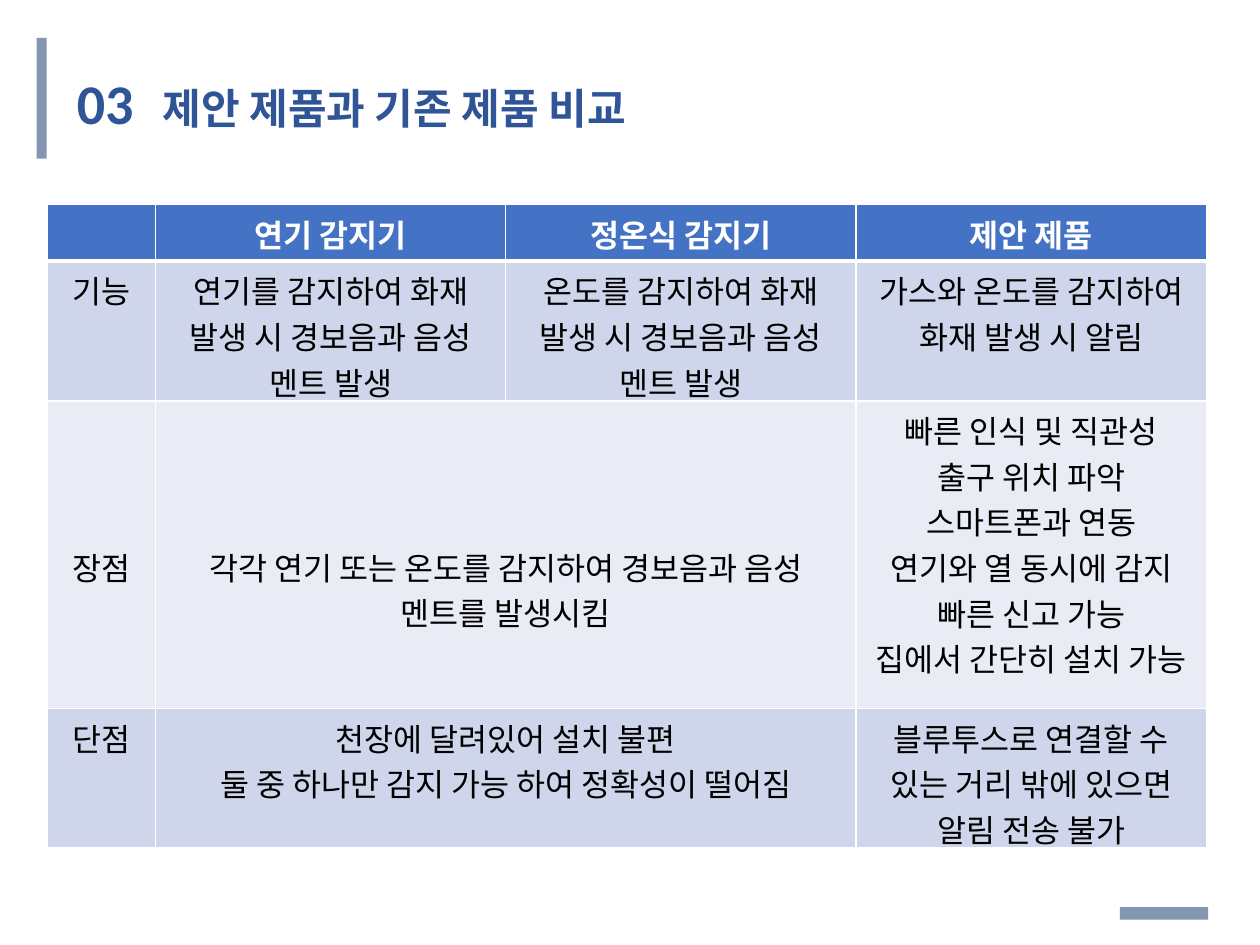
import pptx
import pptx.util
import pptx.dml.color
import pptx.enum.shapes
import pptx.enum.text
import pptx.oxml
import pptx.oxml.ns

Pt = pptx.util.Pt
RGB = pptx.dml.color.RGBColor
ALIGN = pptx.enum.text.PP_ALIGN

NAVY = RGB(0x2F, 0x55, 0x97)
SLATE = RGB(0x84, 0x97, 0xB0)
BLUE = RGB(0x44, 0x72, 0xC4)
LIGHT = RGB(0xCF, 0xD5, 0xEA)
PALE = RGB(0xE9, 0xEB, 0xF5)
WHITE = RGB(0xFF, 0xFF, 0xFF)
BLACK = RGB(0, 0, 0)
FONT = "Calibri"

NUMBER, TITLE = "03", "제안 제품과 기존 제품 비교"
BARS = [(20.9, 21.6, 5.8, 69.1), (640, 518.4, 50.4, 7.2)]
WIDTHS = [61.9, 200.2, 200.2, 200.2]
# height, fill, cell texts (None continues the cell on its left)
ROWS = [
    (32.4, BLUE, ["", "연기 감지기", "정온식 감지기", "제안 제품"]),
    (79.9, LIGHT, [
        "기능",
        "연기를 감지하여 화재 발생 시 경보음과 음성 멘트 발생",
        "온도를 감지하여 화재 발생 시 경보음과 음성 멘트 발생",
        "가스와 온도를 감지하여 화재 발생 시 알림"]),
    (175.7, PALE, [
        "장점",
        "각각 연기 또는 온도를 감지하여 경보음과 음성 멘트를 발생시킴",
        None,
        "빠른 인식 및 직관성\n출구 위치 파악\n스마트폰과 연동\n"
        "연기와 열 동시에 감지\n빠른 신고 가능\n집에서 간단히 설치 가능"]),
    (79.9, LIGHT, [
        "단점",
        "천장에 달려있어 설치 불편\n둘 중 하나만 감지 가능 하여 정확성이 떨어짐",
        None,
        "블루투스로 연결할 수 있는 거리 밖에 있으면 알림 전송 불가"]),
]
LOWERED = {(2, 0), (2, 1)}  # cells whose text starts three lines down
DROP = 81.6


def style(font, size, color, bold):
    font.name, font.size, font.bold = FONT, Pt(size), bold
    font.color.rgb = color


def edge(cell, side, width):
    """Draw one white border; call before the cell is filled."""
    cell._tc.get_or_add_tcPr().append(pptx.oxml.parse_xml(
        f'<a:ln{side} {pptx.oxml.ns.nsdecls("a")} w="{Pt(width)}">'
        f'<a:solidFill><a:srgbClr val="{WHITE}"/></a:solidFill></a:ln{side}>'))


def add_bar(slide, box):
    bar = slide.shapes.add_shape(
        pptx.enum.shapes.MSO_SHAPE.RECTANGLE, *map(Pt, box))
    bar.shadow.inherit = False
    bar.fill.solid()
    bar.fill.fore_color.rgb = SLATE
    bar.line.fill.background()


def add_title(slide):
    title = slide.shapes.title
    title.left, title.top, title.width, title.height = map(
        Pt, (36.7, 35.3, 346.3, 46.1))
    frame = title.text_frame
    frame.word_wrap = False
    frame.auto_size = pptx.enum.text.MSO_AUTO_SIZE.SHAPE_TO_FIT_TEXT
    frame.vertical_anchor = pptx.enum.text.MSO_ANCHOR.TOP
    para = frame.paragraphs[0]
    para.alignment = ALIGN.LEFT
    para._p.get_or_add_pPr().append(pptx.oxml.parse_xml(
        f'<a:tabLst {pptx.oxml.ns.nsdecls("a")}>'
        f'<a:tab pos="{Pt(49)}" algn="l"/></a:tabLst>'))
    for text, size in ((NUMBER, 32), ("\t" + TITLE, 24)):
        run = para.add_run()
        run.text = text
        style(run.font, size, NAVY, True)


def add_grid(slide):
    grid = slide.shapes.add_table(
        len(ROWS), len(WIDTHS), Pt(26.9), Pt(116.8),
        Pt(sum(WIDTHS)), Pt(sum(row[0] for row in ROWS))).table
    for col, width in zip(grid.columns, WIDTHS):
        col.width = Pt(width)
    for r, (height, fill, texts) in enumerate(ROWS):
        grid.rows[r].height = Pt(height)
        for c, text in enumerate(texts):
            cell = grid.cell(r, c)
            for side in "LRTB":
                thick = (r, side) in ((0, "B"), (1, "T"))
                edge(cell, side, 3 if thick else 1)
            cell.fill.solid()
            cell.fill.fore_color.rgb = fill
            if text is None:
                grid.cell(r, c - 1).merge(cell)
                continue
            if (r, c) in LOWERED:
                cell.margin_top = Pt(DROP)
            cell.text_frame.text = text
            for para in cell.text_frame.paragraphs:
                para.alignment = ALIGN.CENTER
                para.font.size = Pt(18)
                for run in para.runs:
                    style(run.font, 18, BLACK if r else WHITE, r == 0)


def main():
    deck = pptx.Presentation()
    deck.slide_width, deck.slide_height = Pt(720), Pt(540)
    slide = deck.slides.add_slide(deck.slide_layouts.get_by_name("Title Only"))
    for box in BARS:
        add_bar(slide, box)
    add_title(slide)
    add_grid(slide)
    deck.save("out.pptx")


if __name__ == "__main__":
    main()
